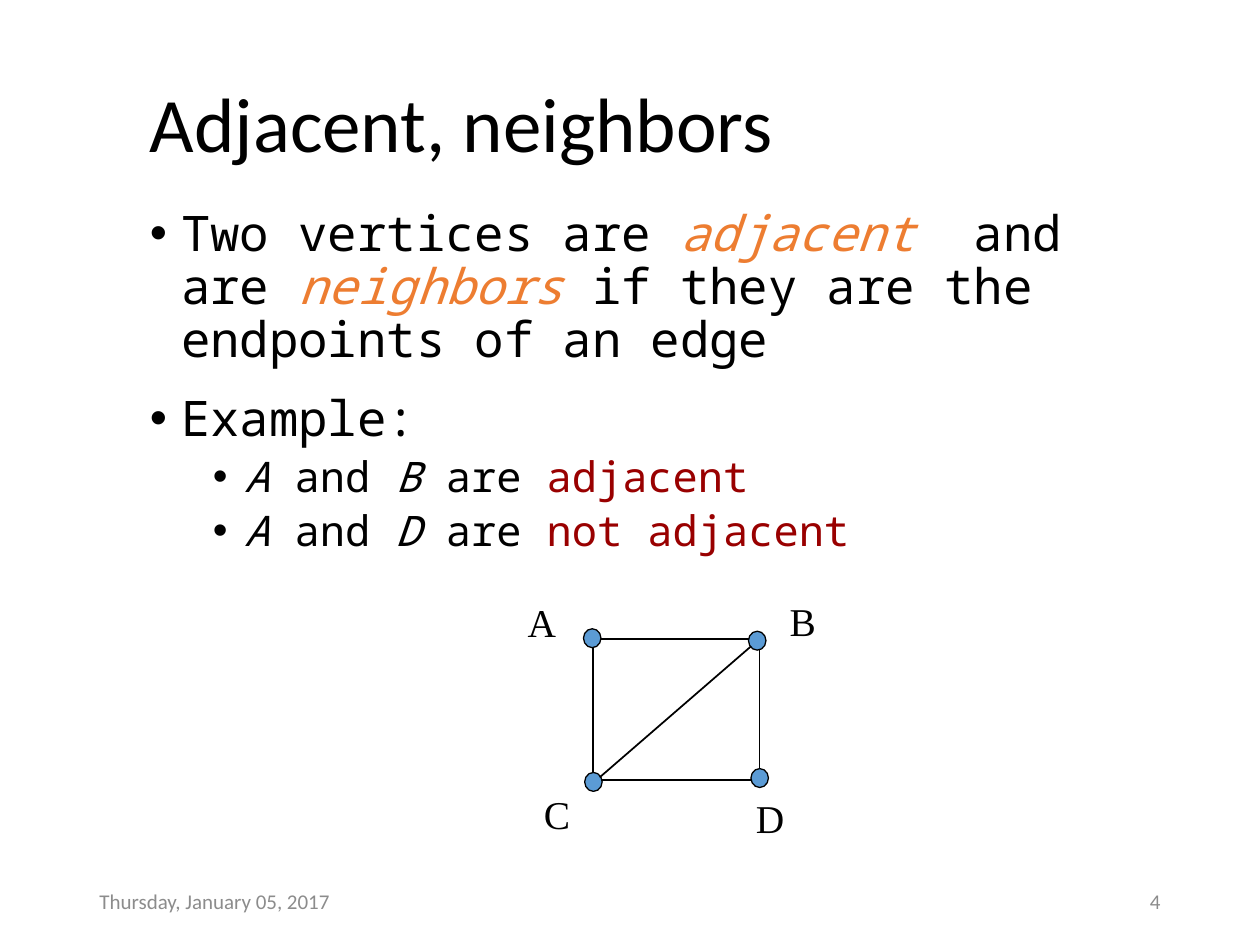
from lxml import etree
from pptx import Presentation
from pptx.dml.color import RGBColor
from pptx.enum.shapes import MSO_CONNECTOR, MSO_SHAPE
from pptx.enum.text import MSO_ANCHOR, MSO_AUTO_SIZE, PP_ALIGN
from pptx.oxml.ns import qn
from pptx.util import Pt

LEFT, RIGHT = PP_ALIGN.LEFT, PP_ALIGN.RIGHT
TOP, MIDDLE = MSO_ANCHOR.TOP, MSO_ANCHOR.MIDDLE
NO_AUTOSIZE = MSO_AUTO_SIZE.NONE
RECTANGLE, OVAL = MSO_SHAPE.RECTANGLE, MSO_SHAPE.OVAL
STRAIGHT = MSO_CONNECTOR.STRAIGHT
TITLE_ONLY = 5

BLACK, ORANGE, RED = "000000", "ED7D31", "990000"
BLUE, GRAY = "5B9BD5", "8C8C8C"
SANS, MONO, SERIF = "Calibri", "Noto Sans Mono", "Times New Roman"


def rgb(color):
    return RGBColor.from_string(color)


def add_text(paragraph, text, font=SANS, size=12, color=BLACK, italic=False):
    run = paragraph.add_run()
    run.text = text
    run.font.name = font
    run.font.size = Pt(size)
    run.font.color.rgb = rgb(color)
    run.font.italic = italic


class SlideBuilder:
    """Holds the slide and its outline style."""

    def __init__(self, slide, line_color=BLACK):
        self.slide = slide
        self.line_color = line_color

    def prepare(self, frame, anchor):
        frame.word_wrap = True
        frame.auto_size = NO_AUTOSIZE
        frame.vertical_anchor = anchor
        return frame

    def title(self, text, left, top, width, height, **style):
        title = self.slide.shapes.title
        title.left, title.top = Pt(left), Pt(top)
        title.width, title.height = Pt(width), Pt(height)
        paragraph = self.prepare(title.text_frame, MIDDLE).paragraphs[0]
        paragraph.alignment = LEFT
        paragraph.line_spacing = 0.9
        add_text(paragraph, text, **style)

    def frame(self, left, top, width, height, anchor=TOP):
        box = self.slide.shapes.add_textbox(Pt(left), Pt(top), Pt(width), Pt(height))
        return self.prepare(box.text_frame, anchor)

    def label(self, text, left, top, width, height, anchor=TOP, align=LEFT, **style):
        paragraph = self.frame(left, top, width, height, anchor).paragraphs[0]
        paragraph.alignment = align
        add_text(paragraph, text, **style)

    def bullets(self, items, left, top, width, height):
        frame = self.frame(left, top, width, height)
        for index, (level, space, size, runs) in enumerate(items):
            paragraph = frame.add_paragraph() if index else frame.paragraphs[0]
            paragraph.level = level
            paragraph.line_spacing = 0.9
            paragraph.space_before = Pt(space)
            properties = paragraph._p.get_or_add_pPr()
            properties.set("marL", str(Pt(18 + 36 * level)))
            properties.set("indent", str(Pt(-18)))
            etree.SubElement(properties, qn("a:buFont")).set("typeface", "Arial")
            etree.SubElement(properties, qn("a:buChar")).set("char", "•")
            for text, color, italic in runs:
                add_text(paragraph, text, font=MONO, size=size, color=color, italic=italic)

    def shape(self, kind, left, top, width, height, fill=None, weight=1):
        shape = self.slide.shapes.add_shape(kind, Pt(left), Pt(top), Pt(width), Pt(height))
        shape.shadow.inherit = False
        if fill:
            shape.fill.solid()
            shape.fill.fore_color.rgb = rgb(fill)
        else:
            shape.fill.background()
        shape.line.color.rgb = rgb(self.line_color)
        shape.line.width = Pt(weight)

    def edge(self, start, end, weight=1):
        x1, y1, x2, y2 = map(Pt, start + end)
        edge = self.slide.shapes.add_connector(STRAIGHT, x1, y1, x2, y2)
        edge.line.color.rgb = rgb(self.line_color)
        edge.line.width = Pt(weight)
        etree.SubElement(edge._element.spPr, qn("a:effectLst"))


deck = Presentation()
deck.slide_width, deck.slide_height = Pt(720), Pt(540)
page = SlideBuilder(deck.slides.add_slide(deck.slide_layouts[TITLE_ONLY]))

# Title and definition
page.title("Adjacent, neighbors", 78.5, 38.2, 563, 69.8, size=44)


def example(first, second, verdict):
    return (1, 5, 24, [(first, BLACK, True), (" and ", BLACK, False),
                       (second, BLACK, True), (" are ", BLACK, False),
                       (verdict, RED, False)])


definition = [("Two vertices are ", BLACK, False), ("adjacent", ORANGE, True),
              ("  and are ", BLACK, False), ("neighbors", ORANGE, True),
              (" if they are the endpoints of an edge", BLACK, False)]
page.bullets([
    (0, 10, 28, definition),
    (0, 15, 28, [("Example:", BLACK, False)]),
    example("A", "B", "adjacent"),
    example("A", "D", "not adjacent"),
], 78.5, 116, 563, 363.6)

# Graph: outer edges, vertices, diagonal
page.shape(RECTANGLE, 339, 365, 95, 80.6)
for left, top in [(427.7, 360.7), (333.4, 359.3), (429.1, 439.2), (334.1, 441.4)]:
    page.shape(OVAL, left, top, 10, 10.8, fill=BLUE, weight=0.75)
page.edge((342.7, 444.2), (429.1, 369.4))

# Vertex names
for name, left, top, width in [("A", 294.5, 338.4, 31), ("B", 444.2, 337.7, 36),
                               ("C", 303.8, 447.8, 30), ("D", 424.8, 450, 41)]:
    page.label(name, left, top, width, 34.6, font=SERIF, size=22.5)

# Footer
footer = dict(top=500.4, width=162, height=28.8, anchor=MIDDLE, color=GRAY)
page.label("4", left=508.3, align=RIGHT, **footer)
page.label("Thursday, January 05, 2017", left=49.7, **footer)

deck.save("out.pptx")
